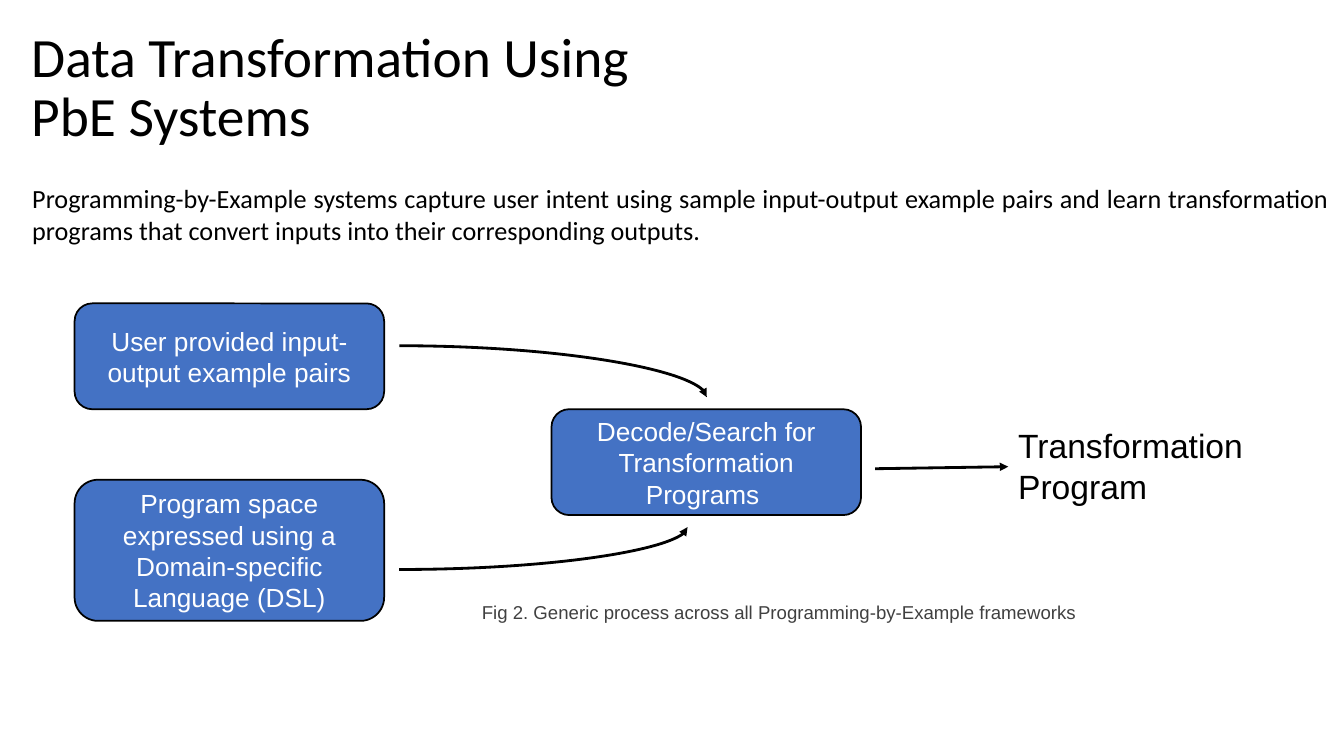
from dataclasses import dataclass

from lxml import etree
from pptx import Presentation
from pptx.dml.color import RGBColor
from pptx.enum.shapes import MSO_CONNECTOR, MSO_SHAPE
from pptx.enum.text import MSO_ANCHOR, MSO_AUTO_SIZE, PP_ALIGN
from pptx.oxml.ns import qn
from pptx.shapes.connector import Connector
from pptx.slide import Slide
from pptx.text.text import TextFrame
from pptx.util import Inches, Pt

ROUNDED = MSO_SHAPE.ROUNDED_RECTANGLE
STRAIGHT, CURVE = MSO_CONNECTOR.STRAIGHT, MSO_CONNECTOR.CURVE
TOP, MIDDLE = MSO_ANCHOR.TOP, MSO_ANCHOR.MIDDLE
LEFT, CENTER, JUSTIFY = PP_ALIGN.LEFT, PP_ALIGN.CENTER, PP_ALIGN.JUSTIFY
NO_AUTOFIT = MSO_AUTO_SIZE.NONE

COLORS = {"black": "000000", "white": "FFFFFF", "blue": "4472C4", "gray": "404040"}
STEP_WIDTH = 3.07
NO_INSETS = (0, 0, 0, 0)
DEFAULT_INSETS = (0.1, 0.05, 0.1, 0.05)


@dataclass
class Step:
    text: str
    left: float
    top: float
    height: float = 1.05


@dataclass
class Arrow:
    start: tuple[float, float]
    end: tuple[float, float]
    curved: bool = True


STEPS = [
    Step("User provided input-output example pairs", 0.74, 3.01),
    Step("Program space expressed using a Domain-specific Language (DSL)", 0.74, 4.76, 1.4),
    Step("Decode/Search for Transformation Programs ", 5.47, 4.06),
]
ARROWS = [
    Arrow((3.96, 3.43), (7.01, 3.94)),
    Arrow((3.96, 5.65), (6.82, 5.23)),
    Arrow((8.68, 4.65), (10, 4.63), curved=False),
]


def rgb(name: str) -> RGBColor:
    return RGBColor.from_string(COLORS[name])


def write(tf: TextFrame, text: str, *, size: float, font: str = "Arial",
          color: str = "black", align: PP_ALIGN = LEFT, anchor: MSO_ANCHOR = TOP,
          spacing: float = 1.0,
          insets: tuple[float, float, float, float] = DEFAULT_INSETS) -> None:
    tf.word_wrap = True
    tf.auto_size = NO_AUTOFIT
    tf.vertical_anchor = anchor
    tf.margin_left, tf.margin_top, tf.margin_right, tf.margin_bottom = map(Inches, insets)
    p = tf.paragraphs[0]
    p.alignment = align
    p.line_spacing = spacing
    r = p.add_run()
    r.text = text
    r.font.name = font
    r.font.size = Pt(size)
    r.font.color.rgb = rgb(color)


def add_text(s: Slide, left: float, top: float, width: float, height: float) -> TextFrame:
    return s.shapes.add_textbox(*map(Inches, (left, top, width, height))).text_frame


def add_step(s: Slide, step: Step) -> None:
    sp = s.shapes.add_shape(
        ROUNDED, *map(Inches, (step.left, step.top, STEP_WIDTH, step.height)))
    sp.shadow.inherit = False
    sp.fill.solid()
    sp.fill.fore_color.rgb = rgb("blue")
    sp.line.color.rgb = rgb("black")
    sp.line.width = Pt(1.25)
    write(sp.text_frame, step.text, size=18.7, color="white", align=CENTER, anchor=MIDDLE)


def add_arrow(s: Slide, arrow: Arrow) -> Connector:
    """Draw an arrow; a curved one is a single quarter bend."""
    cxn = s.shapes.add_connector(
        CURVE if arrow.curved else STRAIGHT, *map(Inches, arrow.start + arrow.end))
    cxn.line.color.rgb = rgb("black")
    cxn.line.width = Pt(2)
    sp_pr = cxn._element.spPr
    if arrow.curved:
        sp_pr.find(qn("a:prstGeom")).set("prst", "curvedConnector2")
    etree.SubElement(sp_pr.find(qn("a:ln")), qn("a:tailEnd"), type="triangle")
    etree.SubElement(sp_pr, qn("a:effectLst"))
    return cxn


def main() -> None:
    prs = Presentation()
    prs.slide_width, prs.slide_height = Inches(13.33), Inches(7.5)
    s = prs.slides.add_slide(prs.slide_layouts.get_by_name("Title Only"))

    title = s.shapes.title
    title.left, title.top, title.width, title.height = map(Inches, (0.31, 0.29, 6.04, 1.17))
    write(title.text_frame, "Data Transformation Using PbE Systems", size=39.6,
          font="Calibri", spacing=0.9, insets=NO_INSETS)

    write(add_text(s, 0.32, 1.81, 12.86, 4.74),
          "Programming-by-Example systems capture user intent using sample input-output "
          "example pairs and learn transformation programs that convert inputs into their "
          "corresponding outputs.",
          size=18.7, font="Calibri", align=JUSTIFY, insets=NO_INSETS)

    for step in STEPS:
        add_step(s, step)
    write(add_text(s, 10, 4.17, 3.33, 0.91), "Transformation Program", size=24)
    write(add_text(s, 4.68, 5.89, 6.22, 0.4),
          "Fig 2. Generic process across all Programming-by-Example frameworks",
          size=13.3, color="gray", insets=(0.1, 0.07, 0, 0.07))
    for arrow in ARROWS:
        add_arrow(s, arrow)

    prs.save("out.pptx")


if __name__ == "__main__":
    main()
